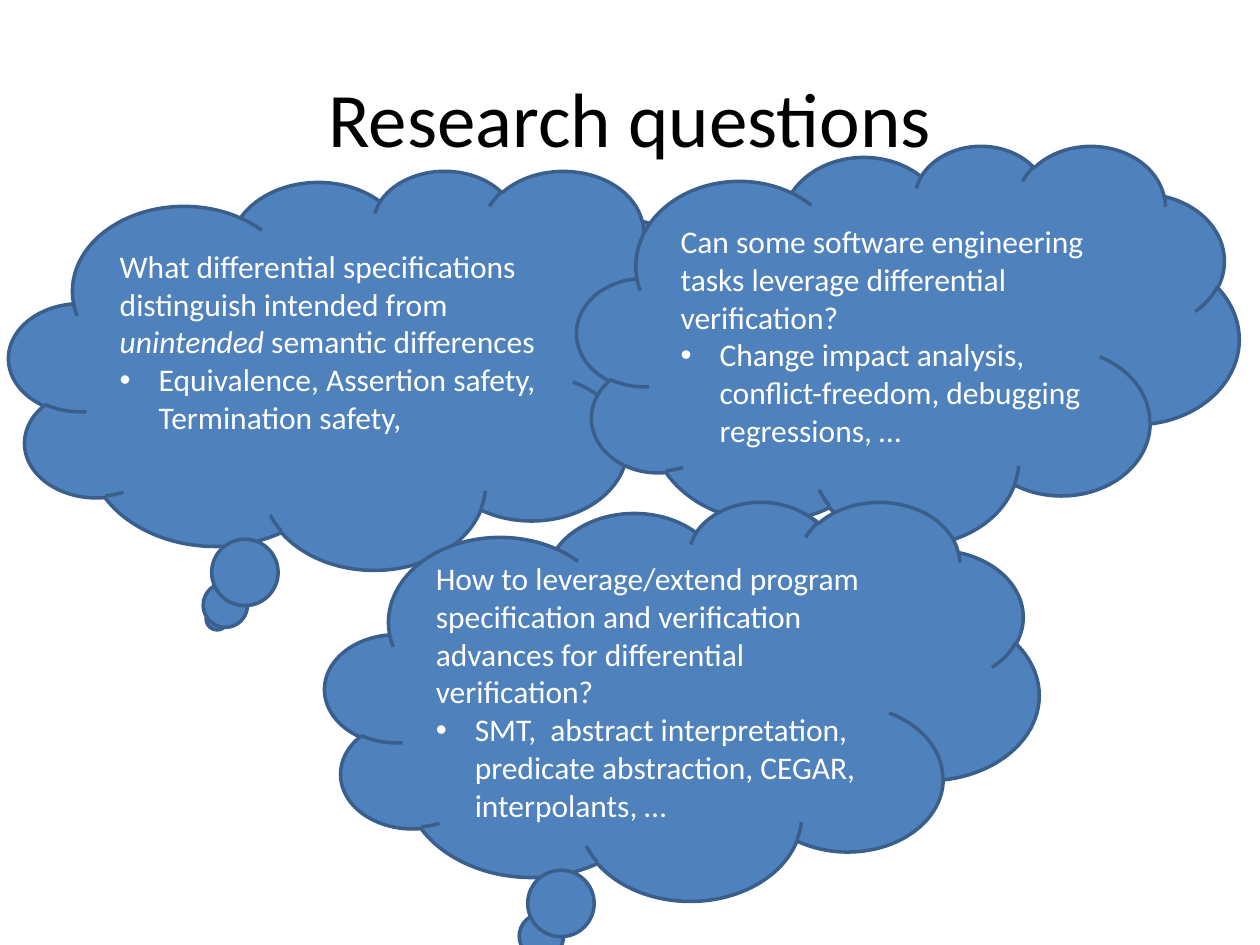
from lxml.etree import SubElement
from pptx import Presentation
from pptx.dml.color import RGBColor
from pptx.enum.shapes import MSO_SHAPE
from pptx.enum.text import MSO_ANCHOR, PP_ALIGN
from pptx.oxml.ns import qn
from pptx.util import Pt

PX = 914400 / 126
COLORS = {"title": "000000", "cloud": "4F81BD", "outline": "3A5F8C", "text": "FFFFFF"}
TITLE_FONT = {"name": "Calibri", "size": Pt(44)}
QUESTION_FONT = {"name": "Calibri", "size": Pt(18)}
BULLET_INDENT = 39


def emu(*pixels):
    return [round(value * PX) for value in pixels]


def add_text(paragraph, text, font, color, italic=None):
    run = paragraph.add_run()
    run.text = text
    for attribute, value in {**font, "italic": italic}.items():
        setattr(run.font, attribute, value)
    run.font.color.rgb = RGBColor.from_string(COLORS[color])


deck = Presentation()
deck.slide_width, deck.slide_height = emu(1260, 945)
slide = deck.slides.add_slide(deck.slide_layouts[5])

heading = slide.shapes.title
heading.left, heading.top, heading.width, heading.height = emu(63, 38, 1134, 158)
heading.text_frame.vertical_anchor = MSO_ANCHOR.MIDDLE
heading_line = heading.text_frame.paragraphs[0]
heading_line.alignment = PP_ALIGN.CENTER
add_text(heading_line, "Research questions", TITLE_FONT, "title")

# Each cloud: place, bottom inset, question as (text, italic) parts, examples
clouds = [
    ((9, 170, 714, 399), 44,
     [("What differential specifications distinguish intended from ", None),
      ("unintended ", True),
      ("semantic differences", None)],
     "Equivalence, Assertion safety, Termination safety,"),
    ((577, 145, 662, 399), 6,
     [("Can some software engineering tasks leverage differential verification?", None)],
     "Change impact analysis, conflict-freedom, debugging regressions, …"),
    ((325, 501, 714, 399), 6,
     [("How to leverage/extend program specification and verification advances "
       "for differential verification?", None)],
     "SMT,  abstract interpretation, predicate abstraction, CEGAR, interpolants, …"),
]

for place, bottom_inset, question, examples in clouds:
    cloud = slide.shapes.add_shape(MSO_SHAPE.CLOUD_CALLOUT, *emu(*place))
    cloud.shadow.inherit = False
    cloud.fill.solid()
    cloud.fill.fore_color.rgb = RGBColor.from_string(COLORS["cloud"])
    cloud.line.color.rgb = RGBColor.from_string(COLORS["outline"])
    cloud.line.width = Pt(2)

    frame = cloud.text_frame
    frame.word_wrap = True
    frame.vertical_anchor = MSO_ANCHOR.MIDDLE
    frame.margin_bottom = emu(bottom_inset)[0]

    question_line = frame.paragraphs[0]
    question_line.alignment = PP_ALIGN.LEFT
    for text, italic in question:
        add_text(question_line, text, QUESTION_FONT, "text", italic)

    examples_line = frame.add_paragraph()
    examples_line.alignment = PP_ALIGN.LEFT
    add_text(examples_line, examples, QUESTION_FONT, "text")
    bullet_format = examples_line._p.get_or_add_pPr()
    indent = emu(BULLET_INDENT)[0]
    for attribute, value in {"marL": indent, "indent": -indent}.items():
        bullet_format.set(attribute, str(value))
    SubElement(bullet_format, qn("a:buFont"), typeface="Arial")
    SubElement(bullet_format, qn("a:buChar"), char="•")

deck.save("out.pptx")
